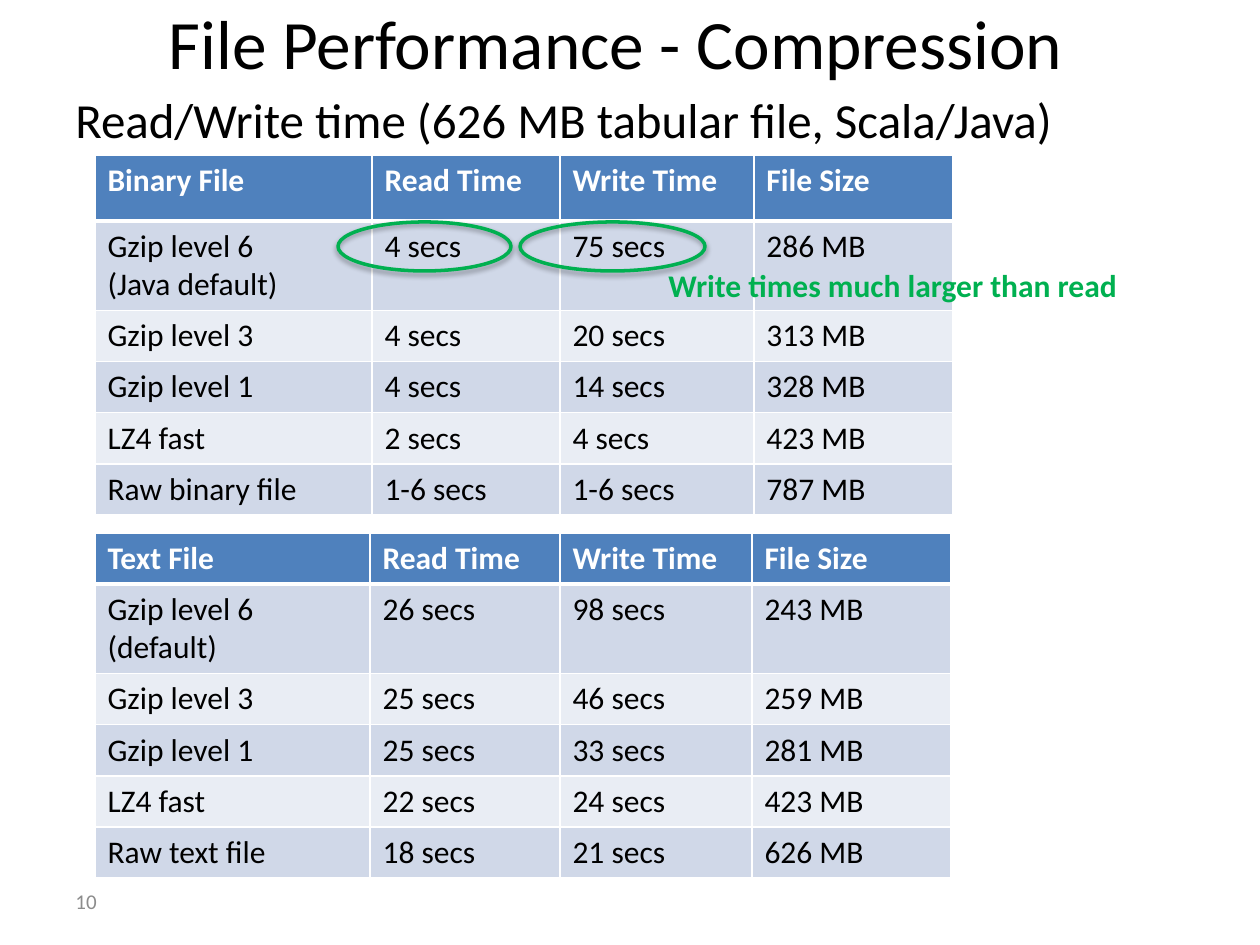
from dataclasses import dataclass

from lxml.etree import SubElement
from pptx import Presentation
from pptx.dml.color import RGBColor
from pptx.enum.shapes import MSO_SHAPE as Preset
from pptx.enum.text import MSO_ANCHOR as Anchor, MSO_AUTO_SIZE as AutoSize, PP_ALIGN as Align
from pptx.oxml import parse_xml
from pptx.oxml.ns import nsdecls, qn
from pptx.util import Pt

EMU_PER_PX = 914400 / 126


def px(length: int) -> int:
    return round(length * EMU_PER_PX)


@dataclass(frozen=True)
class Theme:
    font: str = "Calibri"
    ink: str = "000000"
    paper: str = "FFFFFF"
    muted: str = "8C8C8C"
    accent: str = "00B050"
    header: str = "4F81BD"
    bands: tuple[str, str] = ("D0D8E8", "E9EDF4")
    title_size: float = 39.6
    subtitle_size: float = 28
    body_size: float = 18
    number_size: float = 12
    outline: float = 2
    cell_border: float = 1
    header_border: float = 3


THEME = Theme()


@dataclass(frozen=True)
class Box:
    left: int
    top: int
    width: int
    height: int

    def emu(self) -> tuple[int, ...]:
        return tuple(px(n) for n in (self.left, self.top, self.width, self.height))


@dataclass(frozen=True)
class Caption:
    text: str
    box: Box
    size: float
    color: str = THEME.ink
    bold: bool = False
    align: Align = Align.LEFT
    anchor: Anchor = Anchor.TOP
    wrap: bool = True
    space_before: float = 0


@dataclass(frozen=True)
class Timings:
    left: int
    top: int
    columns: tuple[int, ...]
    header_height: int
    row_height: int
    rows: tuple[tuple[str, ...], ...]


MEASURES = ("Read Time", "Write Time", "File Size")

BINARY_TIMINGS = Timings(95, 155, (277, 188, 194, 199), 66, 51, (
    ("Binary File", *MEASURES),
    ("Gzip level 6 \n(Java default)", "4 secs", "75 secs", "286 MB"),
    ("Gzip level 3", "4 secs", "20 secs", "313 MB"),
    ("Gzip level 1", "4 secs", "14 secs", "328 MB"),
    ("LZ4 fast", "2 secs", "4 secs", "423 MB"),
    ("Raw binary file", "1-6 secs", "1-6 secs", "787 MB"),
))

TEXT_TIMINGS = Timings(95, 533, (275, 190, 192, 199), 51, 51, (
    ("Text File", *MEASURES),
    ("Gzip level 6 (default)", "26 secs", "98 secs", "243 MB"),
    ("Gzip level 3", "25 secs", "46 secs", "259 MB"),
    ("Gzip level 1", "25 secs", "33 secs", "281 MB"),
    ("LZ4 fast", "22 secs", "24 secs", "423 MB"),
    ("Raw text file", "18 secs", "21 secs", "626 MB"),
))

HEADINGS = (
    Caption("10", Box(63, 876, 294, 50), THEME.number_size, THEME.muted, anchor=Anchor.MIDDLE),
    Caption("File Performance - Compression", Box(63, 0, 1106, 83), THEME.title_size,
            align=Align.CENTER, anchor=Anchor.MIDDLE),
    Caption("Read/Write time (626 MB tabular file, Scala/Java)", Box(63, 83, 1134, 673),
            THEME.subtitle_size, space_before=5.6),
)

SLOW_WRITE_NOTE = Caption("Write times much larger than read", Box(656, 260, 478, 50),
                          THEME.body_size, THEME.accent, bold=True, wrap=False)

HIGHLIGHTS = (Box(520, 222, 185, 49), Box(338, 222, 173, 49))


def add_run(paragraph, text: str, size: float, color: str, bold: bool) -> None:
    run = paragraph.add_run()
    run.text = text
    run.font.name = THEME.font
    run.font.size = Pt(size)
    run.font.bold = bold
    run.font.color.rgb = RGBColor.from_string(color)


def draw_caption(slide, caption: Caption) -> None:
    frame = slide.shapes.add_textbox(*caption.box.emu()).text_frame
    frame.word_wrap = caption.wrap
    frame.auto_size = AutoSize.NONE if caption.wrap else AutoSize.SHAPE_TO_FIT_TEXT
    frame.vertical_anchor = caption.anchor
    paragraph = frame.paragraphs[0]
    paragraph.alignment = caption.align
    paragraph.space_before = Pt(caption.space_before)
    add_run(paragraph, caption.text, caption.size, caption.color, caption.bold)


def border_cell(cell, row: int) -> None:
    widths = {
        "L": THEME.cell_border,
        "R": THEME.cell_border,
        "T": THEME.header_border if row == 1 else THEME.cell_border,
        "B": THEME.header_border if row == 0 else THEME.cell_border,
    }
    properties = cell._tc.get_or_add_tcPr()
    for position, (side, width) in enumerate(widths.items()):
        properties.insert(position, parse_xml(
            f'<a:ln{side} {nsdecls("a")} w="{Pt(width)}"><a:solidFill>'
            f'<a:srgbClr val="{THEME.paper}"/></a:solidFill></a:ln{side}>'))


def draw_timings(slide, timings: Timings) -> None:
    row_heights = [timings.header_height] + [timings.row_height] * (len(timings.rows) - 1)
    box = Box(timings.left, timings.top, sum(timings.columns), sum(row_heights))
    table = slide.shapes.add_table(len(row_heights), len(timings.columns), *box.emu()).table
    for column, width in zip(table.columns, timings.columns):
        column.width = px(width)
    for row, (entries, height) in enumerate(zip(timings.rows, row_heights)):
        table.rows[row].height = px(height)
        is_header = row == 0
        fill = THEME.header if is_header else THEME.bands[(row - 1) % 2]
        color = THEME.paper if is_header else THEME.ink
        for column, entry in enumerate(entries):
            cell = table.cell(row, column)
            cell.fill.solid()
            cell.fill.fore_color.rgb = RGBColor.from_string(fill)
            border_cell(cell, row)
            paragraph = cell.text_frame.paragraphs[0]
            for index, line in enumerate(entry.split("\n")):
                if index:
                    paragraph.add_line_break()
                add_run(paragraph, line, THEME.body_size, color, is_header)


def draw_highlight(slide, box: Box) -> None:
    ring = slide.shapes.add_shape(Preset.OVAL, *box.emu())
    ring.fill.background()
    ring.line.color.rgb = RGBColor.from_string(THEME.accent)
    ring.line.width = Pt(THEME.outline)
    ring.shadow.inherit = False
    effects = ring._element.spPr.find(qn("a:effectLst"))
    shadow = SubElement(effects, qn("a:outerShdw"), blurRad=str(Pt(3.1)), dist=str(Pt(1.8)),
                        dir="5400000", rotWithShape="0")
    tint = SubElement(shadow, qn("a:srgbClr"), val=THEME.ink)
    SubElement(tint, qn("a:alpha"), val="35000")


def main() -> None:
    deck = Presentation()
    deck.slide_width, deck.slide_height = px(1260), px(945)
    slide = deck.slides.add_slide(deck.slide_layouts[6])
    for heading in HEADINGS:
        draw_caption(slide, heading)
    for timings in (BINARY_TIMINGS, TEXT_TIMINGS):
        draw_timings(slide, timings)
    for highlight in HIGHLIGHTS:
        draw_highlight(slide, highlight)
    draw_caption(slide, SLOW_WRITE_NOTE)
    deck.save("out.pptx")


if __name__ == "__main__":
    main()
